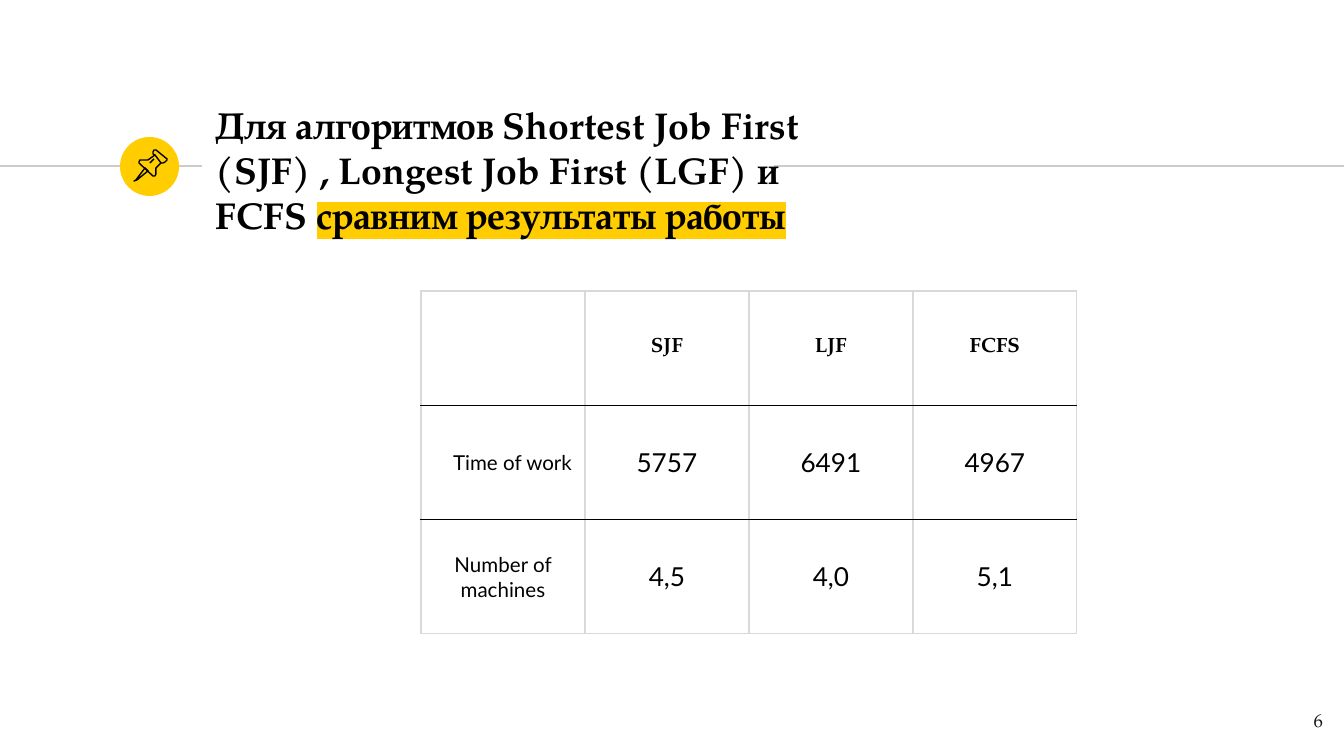
from pptx import Presentation
from pptx.dml.color import RGBColor
from pptx.enum.shapes import MSO_CONNECTOR, MSO_SHAPE
from pptx.enum.text import MSO_ANCHOR, MSO_AUTO_SIZE, PP_ALIGN
from pptx.oxml.ns import qn
from pptx.util import Emu, Pt
from lxml.etree import SubElement

SCALE = 914400 / 134.4
YELLOW = RGBColor(0xFF, 0xCD, 0x00)
BLACK = RGBColor(0x00, 0x00, 0x00)
INK = RGBColor(0x1D, 0x1D, 0x1B)
RULE_GREY = RGBColor(0xCC, 0xCC, 0xCC)
GRID_GREY = RGBColor(0xD9, 0xD9, 0xD9)
SERIF = "TeX Gyre Pagella"
SANS = "Lato"

TITLE_PARTS = [
    "Для алгоритмов Shortest Job First (SJF) , Longest Job First (LGF) и FCFS ",
    "сравним результаты работы",
]
RESULTS = [
    ["", "SJF", "LJF", "FCFS"],
    ["Time of work", "5757", "6491", "4967"],
    ["Number of machines", "4,5", "4,0", "5,1"],
]
NEEDLE = [(25, 31), (16, 43), (14, 44), (17, 43), (28, 34)]
CAP = [(35, 18), (41, 26), (43, 26), (45, 25), (46, 24), (47, 23), (47, 22),
       (36, 13), (34, 13), (33, 15), (33, 17)]
BODY = [(35, 18), (28, 23), (24, 23), (20, 23), (19, 25), (19, 26), (33, 39),
        (35, 39), (36, 37), (36, 34), (36, 31), (41, 26)]
GLINT = [(30, 26), (34, 22)]


def px(length):
    """Turn px into EMU."""
    return Emu(round(length * SCALE))


def style_span(span, size, font=SERIF, color=BLACK, bold=False):
    """Set the look of one run."""
    span.font.size = Pt(size)
    span.font.name = font
    span.font.bold = bold
    span.font.color.rgb = color


def set_margins(target, side, end):
    """Set the inner margins of a text frame or a cell."""
    target.margin_left = target.margin_right = px(side)
    target.margin_top = target.margin_bottom = px(end)


def add_rule(page, left, right, y):
    """Draw a thin horizontal line."""
    rule = page.shapes.add_connector(MSO_CONNECTOR.STRAIGHT, px(left), px(y), px(right), px(y))
    rule.line.color.rgb = RULE_GREY
    rule.line.width = Pt(0.75)
    SubElement(rule.element.spPr, qn("a:effectLst"))


def add_stroke(page, left, top, points, close):
    """Draw one outline of the pin, with points relative to left and top."""
    corners = [(left + x, top + y) for x, y in points]
    builder = page.shapes.build_freeform(*corners[0], scale=SCALE)
    builder.add_line_segments(corners[1:], close=close)
    stroke = builder.convert_to_shape()
    stroke.shadow.inherit = False
    stroke.fill.background()
    stroke.line.color.rgb = BLACK
    stroke.line.width = Pt(0.75)


def add_badge(page, left, top, size):
    """Draw the yellow disc with the pin."""
    disc = page.shapes.add_shape(MSO_SHAPE.OVAL, px(left), px(top), px(size), px(size))
    disc.shadow.inherit = False
    disc.fill.solid()
    disc.fill.fore_color.rgb = YELLOW
    disc.line.fill.background()
    for points, close in ((NEEDLE, True), (CAP, True), (BODY, False), (GLINT, False)):
        add_stroke(page, left, top, points, close)


def fill_title(page, left, top, width, height):
    """Place the title in front of the rules and highlight its last part."""
    title = page.shapes.title
    title.element.getparent().append(title.element)
    title.left, title.top, title.width, title.height = map(px, (left, top, width, height))
    frame = title.text_frame
    frame.auto_size = MSO_AUTO_SIZE.NONE
    frame.word_wrap = True
    frame.vertical_anchor = MSO_ANCHOR.MIDDLE
    set_margins(frame, 13, 13)
    para = frame.paragraphs[0]
    para.alignment = PP_ALIGN.LEFT
    for part in TITLE_PARTS:
        span = para.add_run()
        span.text = part
        style_span(span, 20, bold=True)
    properties = span.font._element
    highlight = SubElement(properties, qn("a:highlight"))
    SubElement(highlight, qn("a:srgbClr"), val=str(YELLOW))
    properties.find(qn("a:solidFill")).addnext(highlight)


def set_borders(cell, top, bottom):
    """Draw the four borders of a cell, grey at the sides."""
    properties = cell._tc.get_or_add_tcPr()
    sides = {"L": GRID_GREY, "R": GRID_GREY, "T": top, "B": bottom}
    for index, (side, color) in enumerate(sides.items()):
        border = SubElement(properties, qn(f"a:ln{side}"), w=str(Pt(0.75)))
        SubElement(SubElement(border, qn("a:solidFill")), qn("a:srgbClr"), val=str(color))
        properties.insert(index, border)


def add_results(page, left, top, width, height):
    """Add the table that compares the algorithms."""
    last = len(RESULTS) - 1
    table = page.shapes.add_table(len(RESULTS), len(RESULTS[0]), *map(px, (left, top, width, height))).table
    table.first_row = table.horz_banding = False
    for row, texts in enumerate(RESULTS):
        for column, text in enumerate(texts):
            cell = table.cell(row, column)
            cell.fill.background()
            set_borders(cell, BLACK if row else GRID_GREY, BLACK if row < last else GRID_GREY)
            cell.vertical_anchor = MSO_ANCHOR.MIDDLE
            set_margins(cell, 13, 9)
            para = cell.text_frame.paragraphs[0]
            para.text = text
            para.alignment = PP_ALIGN.RIGHT if (row, column) == (1, 0) else PP_ALIGN.CENTER
            for span in para.runs:
                style_span(span, 14 if row and column else 11, SANS if row else SERIF, bold=row == 0)


def add_page_number(page, left, top, width, height):
    """Add the page number in the corner."""
    box = page.shapes.add_textbox(*map(px, (left, top, width, height)))
    frame = box.text_frame
    frame.word_wrap = True
    set_margins(frame, 13, 13)
    frame.text = "6"
    para = frame.paragraphs[0]
    para.alignment = PP_ALIGN.RIGHT
    style_span(para.runs[0], 10, color=INK)


def main():
    """Build the deck and save it."""
    deck = Presentation()
    deck.slide_width, deck.slide_height = px(1344), px(756)
    page = deck.slides.add_slide(deck.slide_layouts[5])
    add_rule(page, 0, 202, 166)
    add_rule(page, 774, 1344, 166)
    add_badge(page, 120, 137, 59)
    fill_title(page, 203, 137, 676, 65)
    add_results(page, 421, 291, 656, 343)
    add_page_number(page, 1255, 698, 81, 58)
    deck.save("out.pptx")


if __name__ == "__main__":
    main()
